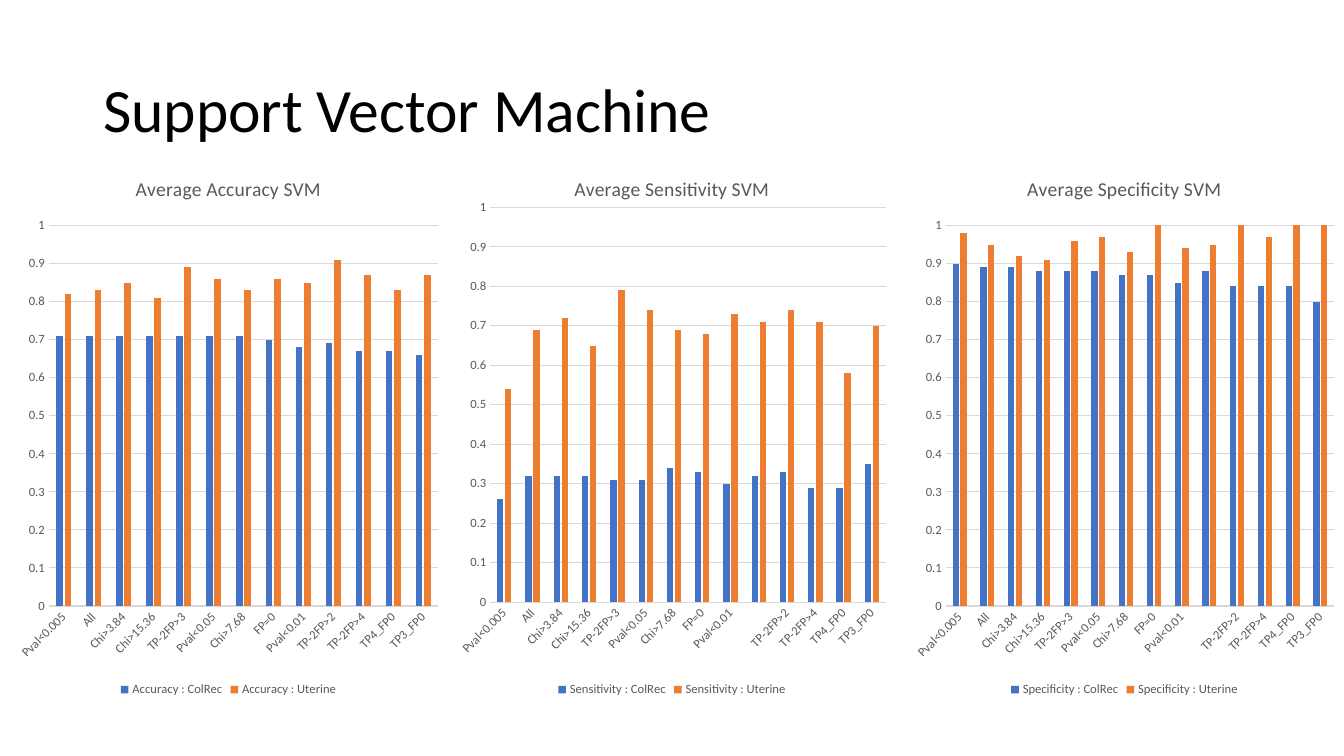
"""Build the Support Vector Machine slide with three clustered column charts."""
from lxml.etree import SubElement
from pptx import Presentation
from pptx.chart.data import CategoryChartData
from pptx.dml.color import RGBColor
from pptx.enum.chart import XL_CHART_TYPE as ChartType, XL_LEGEND_POSITION as LegendPosition
from pptx.enum.chart import XL_TICK_MARK as TickMark
from pptx.enum.text import MSO_ANCHOR as Anchor, MSO_AUTO_SIZE as AutoSize, PP_ALIGN as Align
from pptx.oxml.ns import qn
from pptx.util import Emu, Pt

FONT = "Calibri"
BLACK = RGBColor(0x00, 0x00, 0x00)
GRAY = RGBColor(0x59, 0x59, 0x59)
LIGHT_GRAY = RGBColor(0xD9, 0xD9, 0xD9)
BLUE = RGBColor(0x44, 0x72, 0xC4)
ORANGE = RGBColor(0xED, 0x7D, 0x31)

TITLE = "Support Vector Machine"
TITLE_BOX = (93, 40, 1159, 146)
CHART_TOP, CHART_HEIGHT = 155, 546
FIRST_FILTERS = ["Pval<0.005", "All", "Chi>3.84", "Chi>15.36", "TP-2FP>3",
                 "Pval<0.05", "Chi>7.68", "FP=0", "Pval<0.01"]
LAST_FILTERS = ["TP-2FP>2", "TP-2FP>4", "TP4_FP0", "TP3_FP0"]
FILTERS = FIRST_FILTERS + LAST_FILTERS
FILTERS_WITH_GAP = FIRST_FILTERS + [""] + LAST_FILTERS
CHARTS = [
    dict(measure="Sensitivity", left=447, width=450, filters=FILTERS_WITH_GAP,
         plot=dict(x=0.096, y=0.096, w=0.88, h=0.723), maximum=1,
         colrec=[0.26, 0.32, 0.32, 0.32, 0.31, 0.31, 0.34, 0.33, 0.3, 0.32, 0.33, 0.29, 0.29, 0.35],
         uterine=[0.54, 0.69, 0.72, 0.65, 0.79, 0.74, 0.69, 0.68, 0.73, 0.71, 0.74, 0.71, 0.58, 0.7]),
    dict(measure="Specificity", left=906, width=437, filters=FILTERS_WITH_GAP, plot=None, maximum=1,
         colrec=[0.9, 0.89, 0.89, 0.88, 0.88, 0.88, 0.87, 0.87, 0.85, 0.88, 0.84, 0.84, 0.84, 0.8],
         uterine=[0.98, 0.95, 0.92, 0.91, 0.96, 0.97, 0.93, 1, 0.94, 0.95, 1, 0.97, 1, 1]),
    dict(measure="Accuracy", left=10, width=437, filters=FILTERS, plot=None, maximum=None,
         colrec=[0.71, 0.71, 0.71, 0.71, 0.71, 0.71, 0.71, 0.7, 0.68, 0.69, 0.67, 0.67, 0.66],
         uterine=[0.82, 0.83, 0.85, 0.81, 0.89, 0.86, 0.83, 0.86, 0.85, 0.91, 0.87, 0.83, 0.87]),
]


def px(length):
    return Emu(round(length * 914400 / 100.8))


def set_font(font, size, color):
    font.name = FONT
    font.size = Pt(size)
    font.bold = False
    font.color.rgb = color


def set_line(line, color):
    line.color.rgb = color
    line.width = Pt(0.75)


def set_plot_layout(chart, plot):
    plot_area = chart.plots[0]._element.getparent()
    for layout in plot_area.findall(qn("c:layout")):
        plot_area.remove(layout)
    layout = SubElement(plot_area, qn("c:layout"))
    plot_area.insert(0, layout)
    manual = SubElement(layout, qn("c:manualLayout"))
    settings = dict(layoutTarget="inner", xMode="edge", yMode="edge", **plot)
    for name, value in settings.items():
        SubElement(manual, qn("c:" + name)).set("val", str(value))


def format_axes(chart, maximum):
    for axis in (chart.category_axis, chart.value_axis):
        axis.major_tick_mark = axis.minor_tick_mark = TickMark.NONE
        set_font(axis.tick_labels.font, 9, GRAY)
    set_line(chart.category_axis.format.line, LIGHT_GRAY)
    body = chart.category_axis._element.find(qn("c:txPr")).find(qn("a:bodyPr"))
    body.set("rot", "-2700000")
    body.set("vert", "horz")
    value_axis = chart.value_axis
    value_axis.format.line.fill.background()
    value_axis.minimum_scale = 0
    value_axis.major_unit = 0.1
    if maximum is not None:
        value_axis.maximum_scale = maximum
    value_axis.has_major_gridlines = True
    set_line(value_axis.major_gridlines.format.line, LIGHT_GRAY)
    value_axis.tick_labels.number_format = "General"
    value_axis.tick_labels.number_format_is_linked = False


def add_measure_chart(slide, measure, left, width, filters, plot, maximum, colrec, uterine):
    data = CategoryChartData()
    data.categories = filters
    data.add_series(f"{measure} : ColRec", colrec)
    data.add_series(f"{measure} : Uterine", uterine)
    chart = slide.shapes.add_chart(ChartType.COLUMN_CLUSTERED, px(left), px(CHART_TOP),
                                   px(width), px(CHART_HEIGHT), data).chart
    set_font(chart.font, 10, BLACK)

    chart.has_title = True
    run = chart.chart_title.text_frame.paragraphs[0].add_run()
    run.text = f"Average {measure} SVM"
    set_font(run.font, 14, GRAY)
    chart.chart_title.include_in_layout = False

    chart.has_legend = True
    chart.legend.position = LegendPosition.BOTTOM
    chart.legend.include_in_layout = False
    set_font(chart.legend.font, 9, GRAY)

    columns = chart.plots[0]
    columns.gap_width = 219
    columns.overlap = -27
    columns.vary_by_categories = False
    for series, color in zip(columns.series, (BLUE, ORANGE)):
        series.format.fill.solid()
        series.format.fill.fore_color.rgb = color
    format_axes(chart, maximum)
    if plot:
        set_plot_layout(chart, plot)


def add_title(slide):
    title = slide.shapes.title
    title.left, title.top, title.width, title.height = map(px, TITLE_BOX)
    frame = title.text_frame
    frame.auto_size = AutoSize.NONE
    frame.vertical_anchor = Anchor.MIDDLE
    paragraph = frame.paragraphs[0]
    paragraph.alignment = Align.LEFT
    paragraph.line_spacing = 0.9
    run = paragraph.add_run()
    run.text = TITLE
    set_font(run.font, 44, BLACK)


def main():
    presentation = Presentation()
    presentation.slide_width, presentation.slide_height = px(1344), px(756)
    slide = presentation.slides.add_slide(presentation.slide_layouts[5])
    add_title(slide)
    for chart in CHARTS:
        add_measure_chart(slide, **chart)
    presentation.save("out.pptx")


if __name__ == "__main__":
    main()
